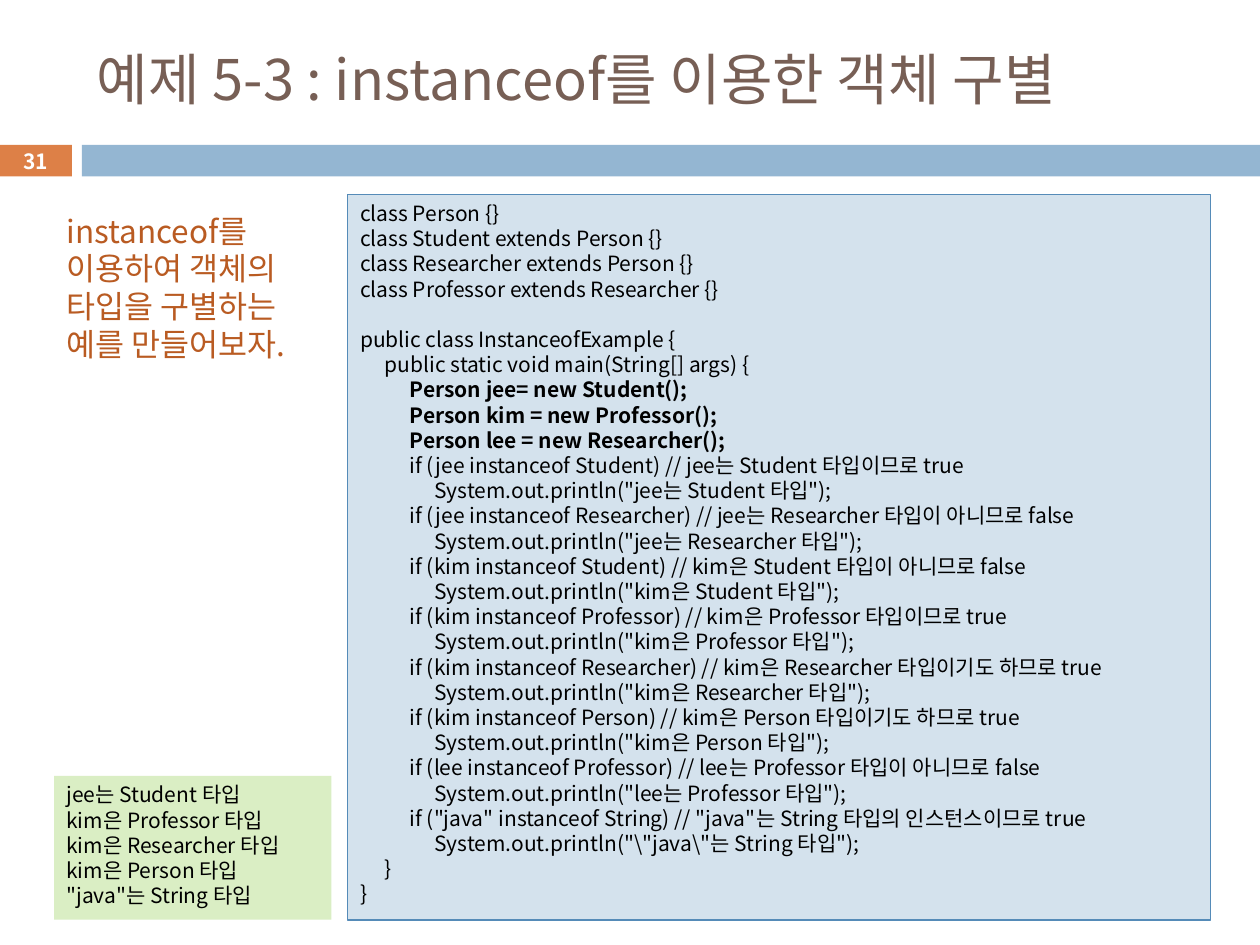
from lxml import etree
from pptx import Presentation
from pptx import util as u
from pptx.dml.color import RGBColor
from pptx.enum import shapes, text
from pptx.oxml import ns

FONT = "Noto Sans CJK KR"
TAB_STEP = 0.5

# (expression, particle, type, reason, result)
CHECKS = [
    ("jee", "는", "Student", "타입이므로", "true"),
    ("jee", "는", "Researcher", "타입이 아니므로", "false"),
    ("kim", "은", "Student", "타입이 아니므로", "false"),
    ("kim", "은", "Professor", "타입이므로", "true"),
    ("kim", "은", "Researcher", "타입이기도 하므로", "true"),
    ("kim", "은", "Person", "타입이기도 하므로", "true"),
    ("lee", "는", "Professor", "타입이 아니므로", "false"),
    ('"java"', "는", "String", "타입의 인스턴스이므로", "true"),
]


def color(value):
    return RGBColor.from_string(value)


def add_box(page, box, fill=None, line=None):
    """Add a rectangle; box is left, top, width, height in centimetres."""
    shape = page.shapes.add_shape(
        shapes.MSO_SHAPE.RECTANGLE, *[u.Cm(length) for length in box])
    shape.shadow.inherit = False
    if fill:
        shape.fill.solid()
        shape.fill.fore_color.rgb = color(fill)
    else:
        shape.fill.background()
    if line:
        shape.line.color.rgb = color(line)
        shape.line.width = u.Pt(0.75)
    else:
        shape.line.fill.background()
    return shape


def style_font(font, size, ink, bold):
    font.name, font.size, font.bold = FONT, u.Pt(size), bold
    font.color.rgb = color(ink)
    # Korean glyphs take the East Asian typeface
    etree.SubElement(font._element if hasattr(font, "_element") else font._rPr,
                     ns.qn("a:ea"), typeface=FONT)


def write(frame, lines, size, ink="000000", bold_lines=(), spacing=1.2,
          align=text.PP_ALIGN.LEFT, anchor=text.MSO_ANCHOR.TOP):
    frame.word_wrap = True
    frame.auto_size = text.MSO_AUTO_SIZE.NONE
    frame.vertical_anchor = anchor
    frame.text = "\n".join(lines)
    for para in frame.paragraphs:
        bold = para.text in bold_lines
        para.alignment = align
        para.line_spacing = u.Pt(size * spacing)
        style_font(para.font, size, ink, bold)
        for span in para.runs:
            style_font(span.font, size, ink, bold)
        if not para.runs:
            etree.SubElement(para._p, ns.qn("a:endParaRPr"), sz=str(size * 100))


def set_tabs(frame, count=3):
    for para in frame.paragraphs:
        properties = para._p.get_or_add_pPr()
        stops = etree.Element(ns.qn("a:tabLst"))
        for number in range(1, count + 1):
            etree.SubElement(stops, ns.qn("a:tab"), algn="l",
                             pos=str(u.Cm(TAB_STEP * number)))
        properties.find(ns.qn("a:defRPr")).addprevious(stops)


def code_lines():
    created = [f"\t\tPerson {name} new {kind}();" for name, kind in
               [("jee=", "Student"), ("kim =", "Professor"), ("lee =", "Researcher")]]
    lines = ["class Person {}"]
    for child, parent in [("Student", "Person"), ("Researcher", "Person"),
                          ("Professor", "Researcher")]:
        lines.append(f"class {child} extends {parent} {{}}")
    lines += ["", "public class InstanceofExample {",
              "\tpublic static void main(String[] args) {", *created]
    for name, particle, kind, reason, result in CHECKS:
        printed = name.replace('"', '\\"')
        lines += [
            f"\t\tif ({name} instanceof {kind}) // {name}{particle} {kind} {reason} {result}",
            f'\t\t\tSystem.out.println("{printed}{particle} {kind} 타입");']
    return lines + ["\t}", "}"], created


def build_header(page, box):
    left, top, width, height = box
    # Title
    title = page.shapes.title
    title.left, title.top = u.Cm(left + 1.7), u.Cm(top + 0.63)
    title.width, title.height = u.Cm(22.66), u.Cm(1.88)
    write(title.text_frame, ["예제 5-3 : instanceof를 이용한 객체 구별"], 32,
          "775F55", anchor=text.MSO_ANCHOR.MIDDLE)
    # Band with the page number
    band_top, band_height, tag_width, band_left = top + 2.92, 0.64, 1.45, 1.65
    tag = add_box(page, (left, band_top, tag_width, band_height), "DD8047")
    add_box(page, (left + band_left, band_top, width - band_left, band_height),
            "94B6D2")
    frame = tag.text_frame
    frame.margin_top = frame.margin_bottom = 0
    write(frame, ["31"], 12, "FFFFFF", bold_lines=["31"],
          align=text.PP_ALIGN.CENTER, anchor=text.MSO_ANCHOR.MIDDLE)


def build_task(page, box):
    left, top, width, height = box
    # Task description
    task = page.shapes.add_textbox(*[u.Cm(v) for v in (left, top, width, 3.33)])
    write(task.text_frame,
          ["instanceof를 이용하여 객체의 타입을 구별하는 예를 만들어보자."],
          18, "B95B22")
    # Program output, at the foot of the column
    output_height = 2.9
    output = add_box(page, (left, top + height - output_height, 5.59,
                            output_height), "DAEEC4")
    write(output.text_frame,
          [f"{name}{particle} {kind} 타입"
           for name, particle, kind, _, result in CHECKS if result == "true"], 12)


def build_code(page, box):
    listing = add_box(page, box, "D4E2ED", "558BB8")
    lines, created = code_lines()
    write(listing.text_frame, lines, 12, bold_lines=created)
    set_tabs(listing.text_frame)


def main():
    deck = Presentation()
    deck.slide_width, deck.slide_height = u.Cm(25.4), u.Cm(19.05)
    page = deck.slides.add_slide(deck.slide_layouts[5])
    build_header(page, (0, 0, 25.4, 3.56))
    build_task(page, (1.09, 4.14, 5.87, 14.4))
    build_code(page, (7.01, 3.92, 17.4, 14.63))
    deck.save("out.pptx")


if __name__ == "__main__":
    main()
